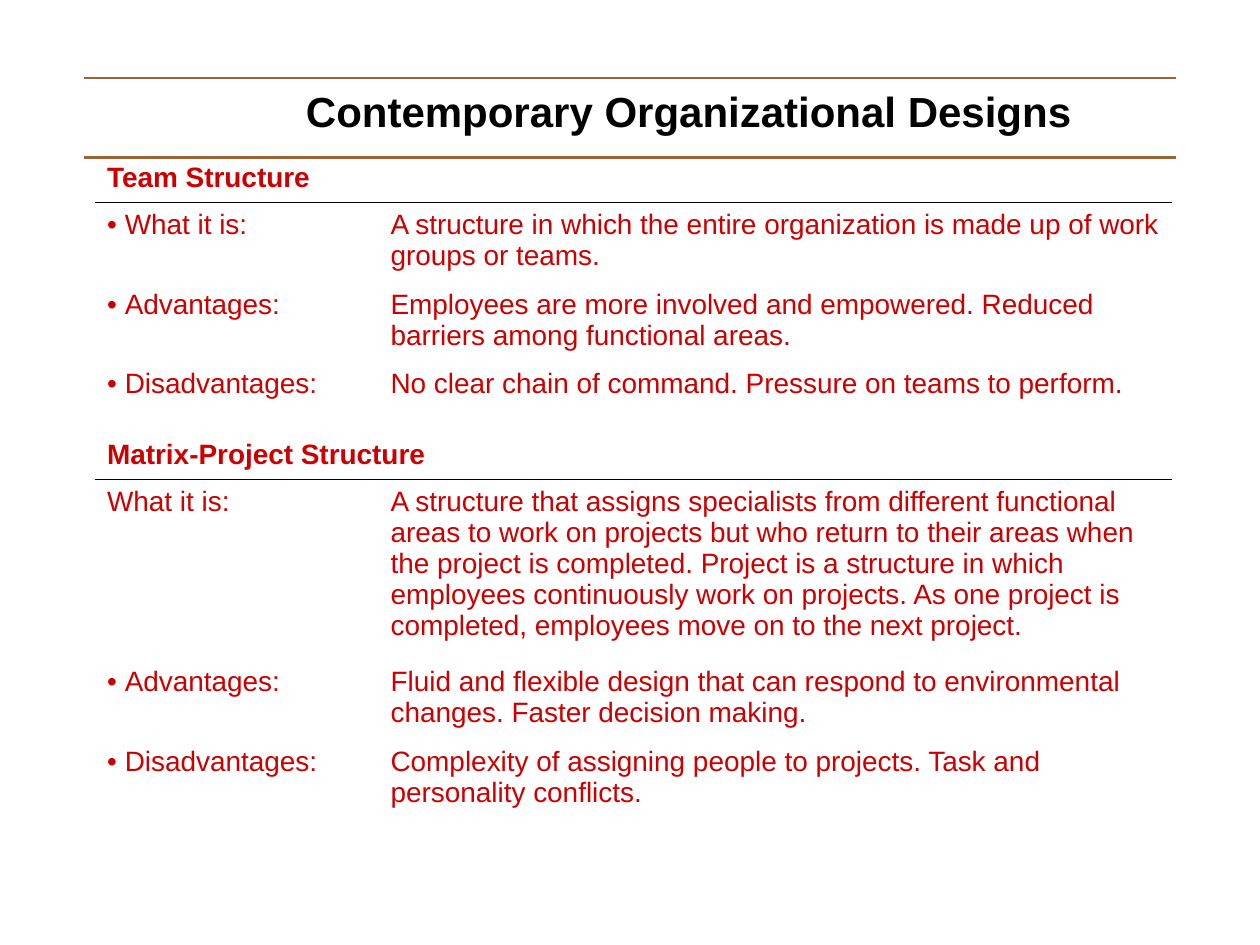
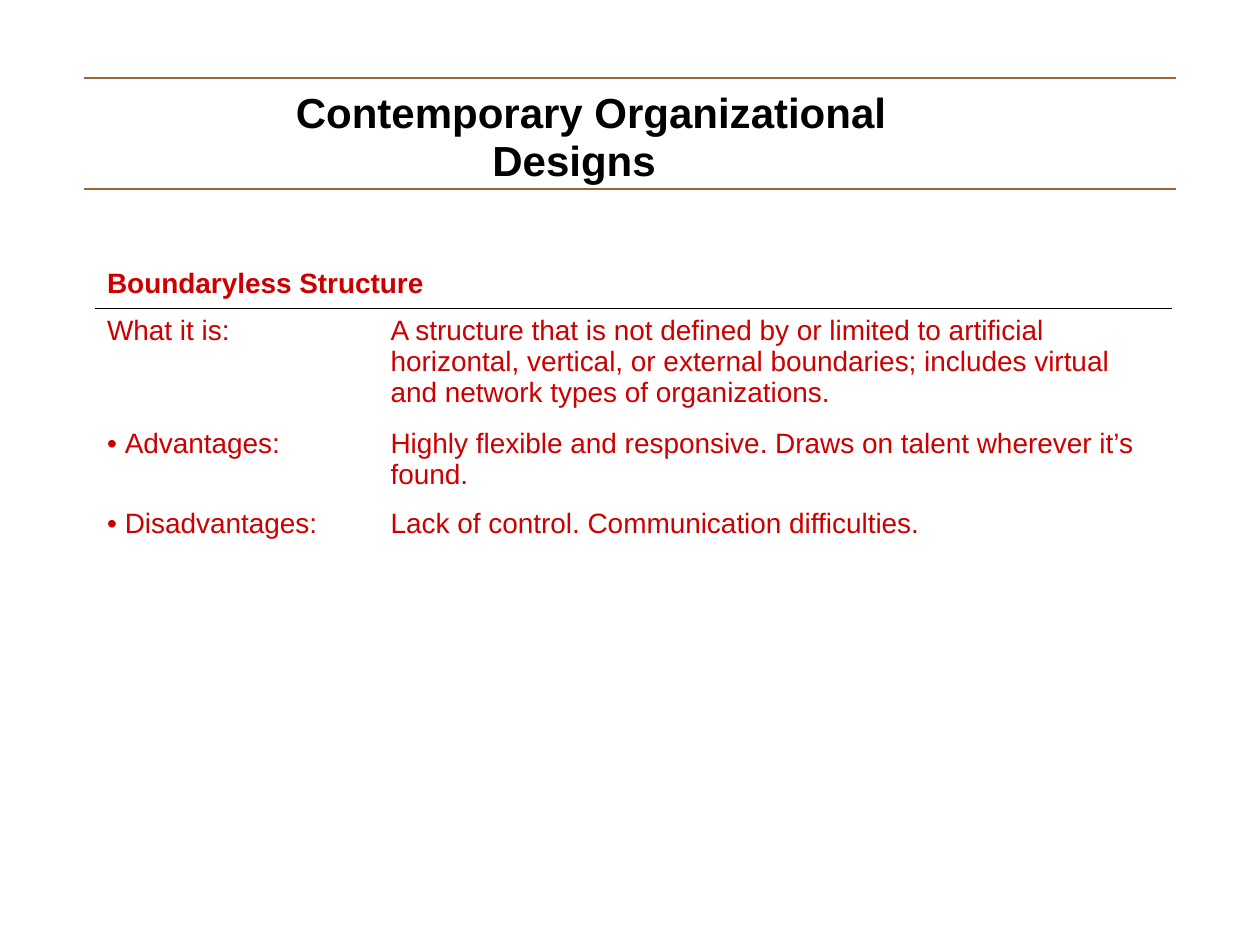
from dataclasses import dataclass
from typing import Any

from lxml.etree import SubElement
from pptx import Presentation
from pptx.dml.color import RGBColor
from pptx.enum.shapes import MSO_CONNECTOR
from pptx.enum.text import MSO_ANCHOR
from pptx.oxml.ns import qn
from pptx.slide import Slide
from pptx.table import _Cell
from pptx.util import Emu, Pt

EMU_PER_PX = 9144


@dataclass(frozen=True)
class Theme:
    font: str = "Arial"
    title_color: str = "000000"
    body_color: str = "CC0000"
    band_color: str = "996633"
    divider_color: str = "000000"
    title_size: int = 24
    body_size: int = 16
    title_spacing: float = 0.96
    band_width: float = 1.5
    divider_width: float = 0.45


@dataclass(frozen=True)
class Trait:
    label: str
    description: str
    lines: int
    gap: int = 0
    bulleted: bool = True


@dataclass(frozen=True)
class Structure:
    name: str
    traits: tuple[Trait, ...]


@dataclass(frozen=True)
class Page:
    title: str
    title_height: int
    title_margin: int
    title_indent: int
    lower_band: int
    table_top: int
    structures: tuple[Structure, ...]


THEME = Theme()
BAND_LEFT, BAND_RIGHT, UPPER_BAND = 67, 933, 62
TITLE_LEFT, TITLE_TOP, TITLE_WIDTH = 58, 66, 883
TABLE_LEFT, COLUMNS = 75, (225, 58, 572)
CELL_PADDING, LINE_HEIGHT, BULLET_INDENT = 10, 26.6, 14

PAGES = (
    Page("Contemporary Organizational Designs", 50, 175, 0, 125, 124, (
        Structure("Team Structure", (
            Trait("What it is:",
                  "A structure in which the entire organization is made up of "
                  "work groups or teams.", 2),
            Trait("Advantages:",
                  "Employees are more involved and empowered. Reduced barriers "
                  "among functional areas.", 2),
            Trait("Disadvantages:",
                  "No clear chain of command. Pressure on teams to perform.",
                  1, gap=19),
        )),
        Structure("Matrix-Project Structure", (
            Trait("What it is:",
                  "A structure that assigns specialists from different functional "
                  "areas to work on projects but who return to their areas when "
                  "the project is completed. Project is a structure in which "
                  "employees continuously work on projects. As one project is "
                  "completed, employees move on to the next project.",
                  5, bulleted=False),
            Trait("Advantages:",
                  "Fluid and flexible design that can respond to environmental "
                  "changes. Faster decision making.", 2),
            Trait("Disadvantages:",
                  "Complexity of assigning people to projects. Task and "
                  "personality conflicts.", 2),
        )),
    )),
    Page("Contemporary Organizational\vDesigns", 91, 323, -156, 150, 208, (
        Structure("Boundaryless Structure", (
            Trait("What it is:",
                  "A structure that is not defined by or limited to artificial "
                  "horizontal, vertical, or external boundaries; includes virtual "
                  "and network types of organizations.", 3, bulleted=False),
            Trait("Advantages:",
                  "Highly flexible and responsive. Draws on talent wherever it’s "
                  "found.", 2),
            Trait("Disadvantages:",
                  "Lack of control. Communication difficulties.", 1),
        )),
    )),
)


def px(length: int) -> Emu:
    return Emu(length * EMU_PER_PX)


def set_all(target: Any, values: dict[str, Any]) -> None:
    for attribute, value in values.items():
        setattr(target, attribute, value)


def style_runs(paragraph: Any, size: int, color: str, bold: bool) -> None:
    for run in paragraph.runs:
        set_all(run.font, {"name": THEME.font, "size": Pt(size), "bold": bold})
        run.font.color.rgb = RGBColor.from_string(color)


def indent(paragraph: Any, margin: int, first_line: int) -> Any:
    properties = paragraph._p.get_or_add_pPr()
    properties.set("marL", str(px(margin)))
    properties.set("indent", str(px(first_line)))
    return properties


def draw_band(slide: Slide, y: int) -> None:
    band = slide.shapes.add_connector(
        MSO_CONNECTOR.STRAIGHT, px(BAND_LEFT), px(y), px(BAND_RIGHT), px(y))
    band.line.width = Pt(THEME.band_width)
    band.line.color.rgb = RGBColor.from_string(THEME.band_color)
    SubElement(band._element.spPr, qn("a:effectLst"))


def draw_title(slide: Slide, page: Page) -> None:
    frame = slide.shapes.add_textbox(
        px(TITLE_LEFT), px(TITLE_TOP), px(TITLE_WIDTH), px(page.title_height)).text_frame
    set_all(frame, {"word_wrap": True, "vertical_anchor": MSO_ANCHOR.TOP})
    heading = frame.paragraphs[0]
    heading.text = page.title
    heading.line_spacing = THEME.title_spacing
    indent(heading, page.title_margin, page.title_indent)
    style_runs(heading, THEME.title_size, THEME.title_color, True)
    for line_break in heading._p.findall(qn("a:br")):
        SubElement(line_break, qn("a:rPr"), sz=str(THEME.title_size * 100))


def prepare_cell(cell: _Cell, divider: str) -> None:
    properties = cell._tc.get_or_add_tcPr()
    for side in ("L", "R", "T", "B"):
        shown = side == divider
        width = Pt(THEME.divider_width) if shown else 0
        border = SubElement(properties, qn(f"a:ln{side}"), w=str(width))
        fill = SubElement(border, qn("a:solidFill" if shown else "a:noFill"))
        if shown:
            SubElement(fill, qn("a:srgbClr"), val=THEME.divider_color)
    cell.fill.background()
    paragraph = cell.text_frame.paragraphs[0]
    SubElement(paragraph._p, qn("a:endParaRPr"), sz=str(THEME.body_size * 100))


def write_cell(cell: _Cell, text: str, bold: bool = False, bulleted: bool = False) -> None:
    paragraph = cell.text_frame.paragraphs[0]
    if bulleted:
        properties = indent(paragraph, BULLET_INDENT, -BULLET_INDENT)
        SubElement(properties, qn("a:buFont"), typeface=THEME.font)
        SubElement(properties, qn("a:buChar"), char="•")
    paragraph.add_run().text = text
    style_runs(paragraph, THEME.body_size, THEME.body_color, bold)


def row_height(lines: int, gap: int = 0) -> int:
    return round(CELL_PADDING + LINE_HEIGHT * lines) + gap


def draw_structures(slide: Slide, page: Page) -> None:
    heights = [height for structure in page.structures
               for height in (row_height(1),
                              *(row_height(t.lines, t.gap) for t in structure.traits))]
    table = slide.shapes.add_table(
        len(heights), len(COLUMNS), px(TABLE_LEFT), px(page.table_top),
        px(sum(COLUMNS)), px(sum(heights))).table
    set_all(table, {"first_row": False, "horz_banding": False})
    for column, width in zip(table.columns, COLUMNS):
        column.width = px(width)
    for row, height in zip(table.rows, heights):
        row.height = px(height)

    row_index = 0
    for structure in page.structures:
        for offset in range(len(structure.traits) + 1):
            divider = {0: "B", 1: "T"}.get(offset, "")
            for cell in table.rows[row_index + offset].cells:
                prepare_cell(cell, divider)
        name_cell = table.cell(row_index, 0)
        name_cell.merge(table.cell(row_index, 1))
        write_cell(name_cell, structure.name, bold=True)
        for row_index, trait in enumerate(structure.traits, row_index + 1):
            write_cell(table.cell(row_index, 0), trait.label, bulleted=trait.bulleted)
            description_cell = table.cell(row_index, 1)
            description_cell.merge(table.cell(row_index, 2))
            write_cell(description_cell, trait.description)
        row_index += 1


def main() -> None:
    presentation = Presentation()
    set_all(presentation, {"slide_width": px(1000), "slide_height": px(750)})
    for page in PAGES:
        slide = presentation.slides.add_slide(presentation.slide_layouts[6])
        draw_title(slide, page)
        for y in (page.lower_band, UPPER_BAND):
            draw_band(slide, y)
        draw_structures(slide, page)
    presentation.save("out.pptx")


if __name__ == "__main__":
    main()
